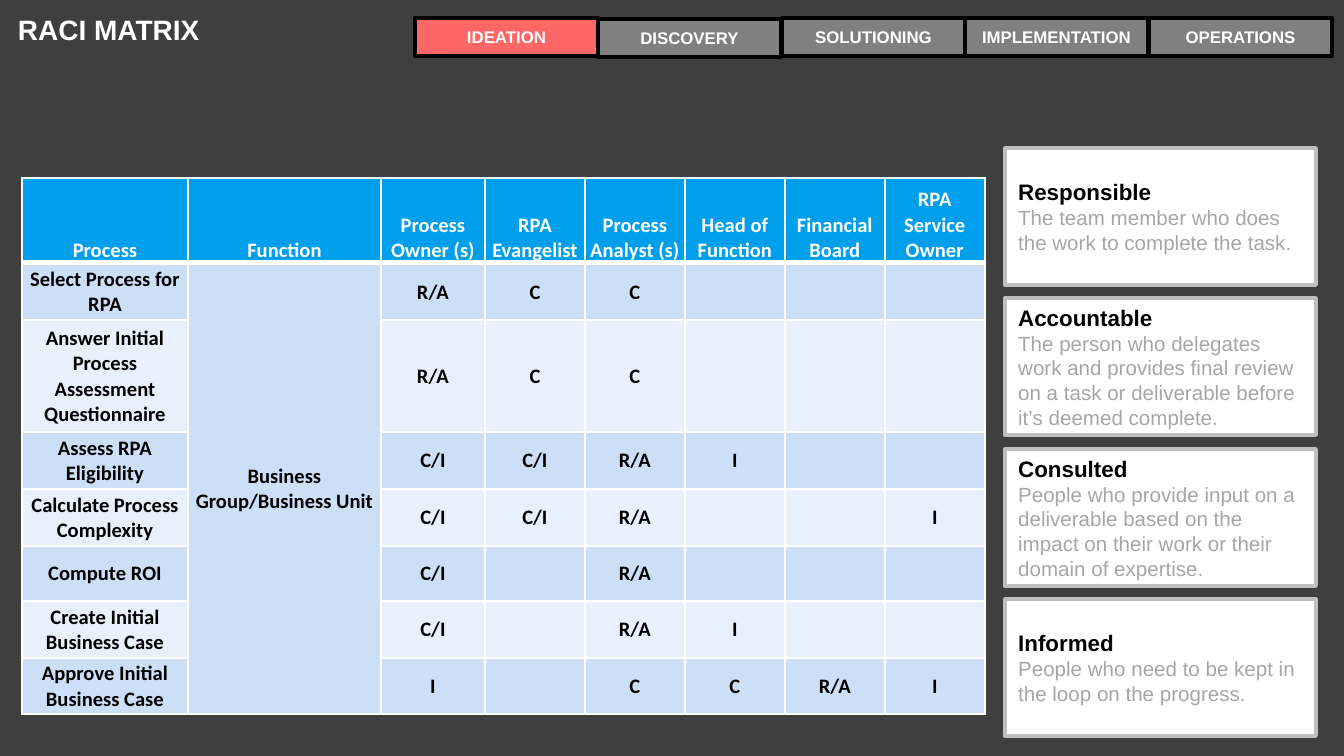
"""Build the RACI matrix slide."""
from lxml.etree import SubElement as Sub
from pptx import Presentation
from pptx.dml.color import RGBColor
from pptx.enum.shapes import MSO_SHAPE as Kind
from pptx.enum.text import MSO_ANCHOR as Anchor, PP_ALIGN as Align
from pptx.oxml.ns import qn
from pptx.util import Emu, Pt

SCALE = 914400 / 134.4
WHITE, BLACK = "FFFFFF", "000000"
TABS = ["IDEATION", "DISCOVERY", "SOLUTIONING", "IMPLEMENTATION", "OPERATIONS"]
COLS = [166, 193, 104] + [100] * 5
ROWS = [85, 57, 112, 57, 57, 55, 57, 56]
GRID = [
    ["Process", "Function", "Process\nOwner (s)", "RPA Evangelist",
     "Process\nAnalyst (s)", "Head of Function", "Financial Board",
     "RPA Service Owner"],
    ["Select Process for RPA", "Business Group/Business Unit",
     "R/A", "C", "C", "", "", ""],
    ["Answer Initial Process Assessment Questionnaire", "",
     "R/A", "C", "C", "", "", ""],
    ["Assess RPA Eligibility", "", "C/I", "C/I", "R/A", "I", "", ""],
    ["Calculate Process Complexity", "", "C/I", "C/I", "R/A", "", "", "I"],
    ["Compute ROI", "", "C/I", "", "R/A", "", "", ""],
    ["Create Initial Business Case", "", "C/I", "", "R/A", "I", "", ""],
    ["Approve Initial Business Case", "", "I", "", "C", "C", "R/A", "I"],
]
ROLES = [
    ("Responsible", "The team member who does the work to complete the task."),
    ("Accountable", "The person who delegates work and provides final review "
     "on a task or deliverable before it’s deemed complete."),
    ("Consulted", "People who provide input on a deliverable based on the "
     "impact on their work or their domain of expertise."),
    ("Informed", "People who need to be kept in the loop on the progress."),
]


def px(num):
    return Emu(round(num * SCALE))


def tint(code):
    return RGBColor.from_string(code)


class Deck:
    """Holds the style and the current slide."""

    def __init__(self, back):
        self.show = Presentation()
        self.show.slide_width, self.show.slide_height = px(1344), px(756)
        self.slide = self.show.slides.add_slide(self.show.slide_layouts[6])
        self.slide.background.fill.solid()
        self.slide.background.fill.fore_color.rgb = tint(back)
        self.face = "Arial"
        self.cell_face = "Calibri"

    def text(self, frame, lines, align=Align.LEFT, face=None):
        frame.word_wrap = True
        for i, (words, size, color, bold) in enumerate(lines):
            para = frame.add_paragraph() if i else frame.paragraphs[0]
            para.alignment = align
            if not words:
                para.font.size = Pt(size)
                continue
            run = para.add_run()
            run.text = words
            font = run.font
            font.name, font.size, font.bold = face or self.face, Pt(size), bold
            font.color.rgb = tint(color)

    def box(self, area, fill, edge, lines, align=Align.LEFT):
        shape = self.slide.shapes.add_shape(Kind.RECTANGLE, *map(px, area))
        shape.shadow.inherit = False
        shape.fill.solid()
        shape.fill.fore_color.rgb = tint(fill)
        shape.line.color.rgb = tint(edge)
        shape.line.width = Pt(2)
        shape.text_frame.vertical_anchor = Anchor.MIDDLE
        self.text(shape.text_frame, lines, align)

    def label(self, area, lines):
        frame = self.slide.shapes.add_textbox(*map(px, area)).text_frame
        frame.margin_left = frame.margin_right = px(13)
        frame.margin_top = frame.margin_bottom = px(13)
        self.text(frame, lines)

    def edges(self, cell, base):
        props = cell._tc.get_or_add_tcPr()
        for side in "LRTB":
            wide = base if side == "B" else 1
            line = Sub(props, qn(f"a:ln{side}"), w=str(Pt(wide)))
            Sub(Sub(line, qn("a:solidFill")), qn("a:srgbClr"), val=WHITE)

    def cell(self, cell, words, head, fill):
        cell.margin_left = cell.margin_right = cell.margin_top = px(1)
        cell.margin_bottom = 0
        cell.vertical_anchor = Anchor.BOTTOM if head else Anchor.MIDDLE
        self.edges(cell, 3 if head else 1)
        cell.fill.solid()
        cell.fill.fore_color.rgb = tint(fill)
        color = WHITE if head else BLACK
        lines = [(part, 11, color, True) for part in words.split("\n")]
        self.text(cell.text_frame, lines, Align.CENTER, self.cell_face)

    def table(self, left, top, cols, rows, grid):
        area = left, top, sum(cols), sum(rows)
        table = self.slide.shapes.add_table(
            len(rows), len(cols), *map(px, area)).table
        table.horz_banding = False
        for col, wide in zip(table.columns, cols):
            col.width = px(wide)
        for r, (row, high) in enumerate(zip(table.rows, rows)):
            row.height = px(high)
            fill = ("E7F0FB", "CCDFF7")[r % 2] if r else "009FEB"
            for c, words in enumerate(grid[r]):
                self.cell(table.cell(r, c), words, r == 0, fill)
        table.cell(1, 1).merge(table.cell(len(rows) - 1, 1))


def main():
    deck = Deck("3F3F3F")
    order = list(enumerate(TABS))
    for i, name in order[1:] + order[:1]:
        area = 415 + i * 367 // 2, 19 if i == 1 else 18, 183, 38
        deck.box(area, "808080" if i else "FF6666", BLACK,
                 [(name, 9, WHITE, True)], Align.CENTER)
    deck.table(22, 178, COLS, ROWS, GRID)
    for i, (role, note) in enumerate(ROLES):
        deck.box((1005, 148 + i * 301 // 2, 311, 137), WHITE, "BFBFBF",
                 [(role, 12, BLACK, True), (note, 11, "A6A6A6", False)])
    deck.label((5, 0, 431, 85), [("RACI MATRIX", 15, WHITE, True)])
    deck.show.save("out.pptx")


if __name__ == "__main__":
    main()
